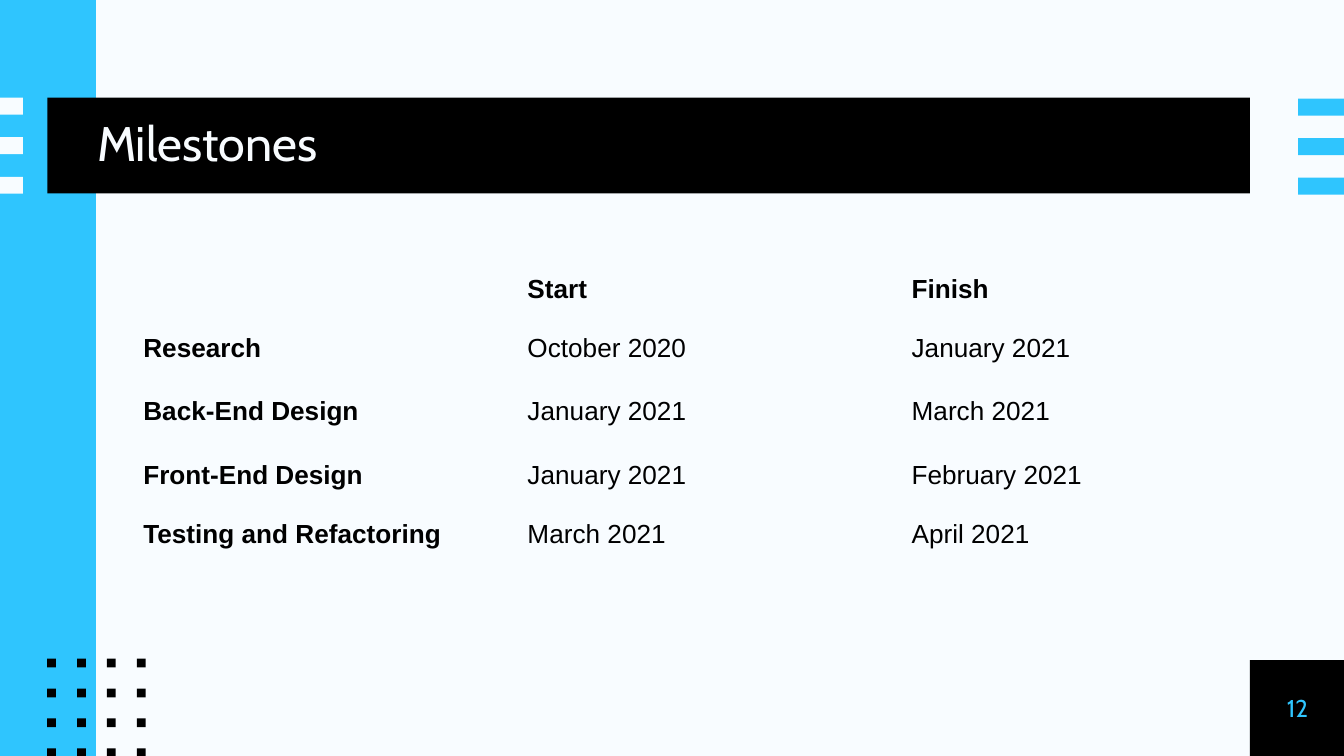
"""Build the Milestones slide with its start and finish table."""
from itertools import product

from pptx import Presentation
from pptx.dml.color import RGBColor
from pptx.enum.shapes import MSO_SHAPE
from pptx.enum.text import MSO_ANCHOR, PP_ALIGN
from pptx.oxml.ns import qn
from pptx.util import Pt

BLACK, BLUE, PALE = "000000", "2FC5FE", "F8FCFF"


def colour(hex_value):
    return RGBColor.from_string(hex_value)


def add_block(left, top, width, height, fill):
    block = slide.shapes.add_shape(
        MSO_SHAPE.RECTANGLE, Pt(left), Pt(top), Pt(width), Pt(height))
    block.shadow.inherit = False
    block.fill.solid()
    block.fill.fore_color.rgb = colour(fill)
    block.line.fill.background()


prs = Presentation()
prs.slide_width, prs.slide_height = Pt(720), Pt(405)
slide = prs.slides.add_slide(prs.slide_layouts[5])
slide.background.fill.solid()
slide.background.fill.fore_color.rgb = colour(PALE)

add_block(669.6, 353.6, 51, 51.4, BLACK)
add_block(0, 0, 51.4, 405, BLUE)
add_block(25.3, 52.3, 644.3, 51.4, BLACK)
for stripe in range(3):
    add_block(0, 52.3 + 21.2 * stripe, 12.3, 9.1, PALE)
    add_block(695.4, 52.8 + 21.2 * stripe, 24.6, 9.1, BLUE)
for column, row in product(range(4), repeat=2):
    add_block(25.3 + 16 * column, 352.9 + 16 * row, 4.7, 4.7, BLACK)

title = slide.shapes.title
slide.shapes._spTree.append(title._element)
title.left, title.top, title.width, title.height = Pt(52), Pt(52.3), Pt(617.6), Pt(51.4)
page_number = slide.shapes.add_textbox(Pt(669.6), Pt(353.6), Pt(51), Pt(51.4))
for holder, wording, size, ink, align in (
        (title, "Milestones", 26, PALE, PP_ALIGN.LEFT),
        (page_number, "12", 13, BLUE, PP_ALIGN.CENTER)):
    frame = holder.text_frame
    frame.text = wording
    frame.word_wrap = True
    frame.vertical_anchor = MSO_ANCHOR.MIDDLE
    frame.margin_left = frame.margin_right = frame.margin_top = frame.margin_bottom = 0
    paragraph = frame.paragraphs[0]
    paragraph.alignment = align
    font = paragraph.runs[0].font
    font.name, font.size, font.color.rgb = "Cabin", Pt(size), colour(ink)
title.text_frame.paragraphs[0].line_spacing = 0.9

schedule = [
    ("", "Start", "Finish"),
    ("Research", "October 2020", "January 2021"),
    ("Back-End Design", "January 2021", "March 2021"),
    ("Front-End Design", "January 2021", "February 2021"),
    ("Testing and Refactoring", "March 2021", "April 2021"),
    ("", "", ""),
]
row_heights = [31.8, 31.8, 36, 31.8, 31.8, 31.8]
milestones = slide.shapes.add_table(
    len(schedule), 3, Pt(66.8), Pt(139), Pt(617.4), Pt(sum(row_heights))).table
milestones.first_row = milestones.horz_banding = False
style_id = milestones._tbl.tblPr.find(qn("a:tableStyleId"))
style_id.text = "{2D5ABB26-0587-4C30-8999-92F81FD0307C}"
for column in milestones.columns:
    column.width = Pt(205.8)
for r, (entries, height) in enumerate(zip(schedule, row_heights)):
    milestones.rows[r].height = Pt(height)
    for c, entry in enumerate(entries):
        cell = milestones.cell(r, c)
        cell.fill.background()
        cell.vertical_anchor = MSO_ANCHOR.MIDDLE
        cell.margin_left = cell.margin_right = Pt(10)
        cell.margin_top = cell.margin_bottom = Pt(4.5)
        cell.text_frame.text = entry
        paragraph = cell.text_frame.paragraphs[0]
        paragraph.font.size = Pt(14)
        for run in paragraph.runs:
            run.font.name, run.font.size = "Arial", Pt(14)
            run.font.color.rgb = colour(BLACK)
            run.font.bold = r == 0 or c == 0

prs.save("out.pptx")
